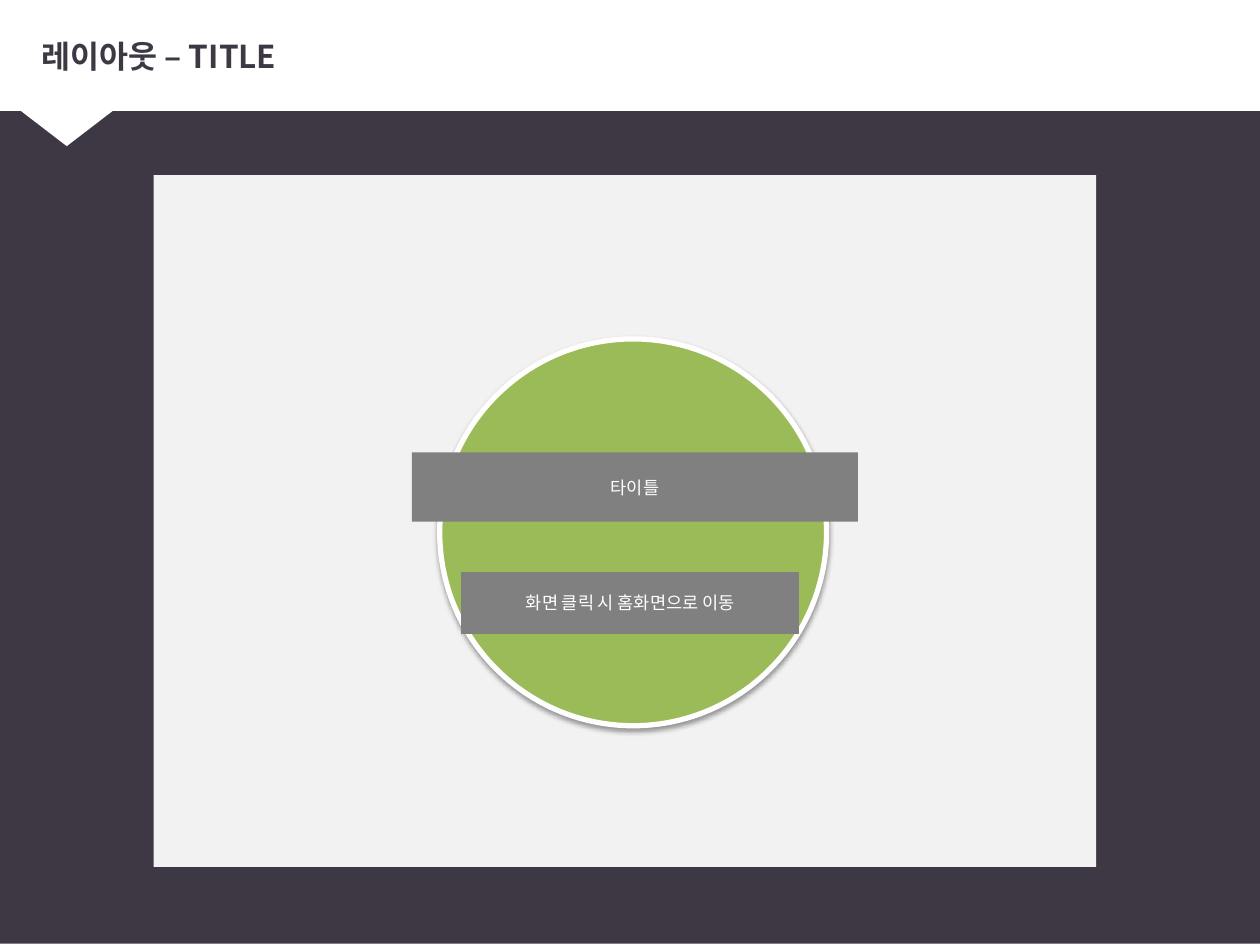
from dataclasses import dataclass

from lxml import etree
from pptx import Presentation
from pptx.dml.color import RGBColor
from pptx.enum import shapes, text
from pptx.oxml import ns
from pptx.util import Inches, Pt

FONT = "Noto Sans CJK KR"
DARK, WHITE, PANEL, GREEN, GRAY = "3D3844", "FFFFFF", "F2F2F2", "9BBB59", "808080"


@dataclass
class Block:
    left: float
    top: float
    width: float
    height: float
    fill: str
    kind: shapes.MSO_SHAPE = shapes.MSO_SHAPE.RECTANGLE
    label: str = ""
    rotation: int = 0


FRAME = [
    Block(0, -0.01, 10.14, 7.5, DARK),
    Block(-0.03, -0.02, 10.17, 0.9, WHITE),
    Block(-0.2, 0.6, 1.46, 0.56, WHITE, shapes.MSO_SHAPE.ISOSCELES_TRIANGLE, rotation=180),
]
SCREEN = Block(1.22, 1.39, 7.48, 5.49, PANEL)
CIRCLE = Block(3.49, 2.69, 3.07, 3.07, GREEN, shapes.MSO_SHAPE.OVAL)
LABELS = [
    Block(3.66, 4.54, 2.68, 0.49, GRAY, label="화면 클릭 시 홈화면으로 이동"),
    Block(3.27, 3.59, 3.54, 0.55, GRAY, label="타이틀"),
]


def color(value: str) -> RGBColor:
    return RGBColor.from_string(value)


def write(shape, content: str, size: int, font_color: str, alignment, bold: bool = False) -> None:
    frame = shape.text_frame
    frame.text = content
    frame.word_wrap = True
    frame.vertical_anchor = text.MSO_ANCHOR.MIDDLE
    paragraph = frame.paragraphs[0]
    paragraph.alignment = alignment
    for run in paragraph.runs:
        run.font.name = FONT
        run.font.size = Pt(size)
        run.font.bold = bold
        run.font.color.rgb = color(font_color)
        east_asian = etree.SubElement(run.font._element, ns.qn("a:ea"))
        east_asian.set("typeface", FONT)


def draw(slide, block: Block):
    shape = slide.shapes.add_shape(
        block.kind, Inches(block.left), Inches(block.top), Inches(block.width), Inches(block.height)
    )
    shape.rotation = block.rotation
    shape.shadow.inherit = False
    shape.fill.solid()
    shape.fill.fore_color.rgb = color(block.fill)
    shape.line.fill.background()
    if block.label:
        write(shape, block.label, 10, WHITE, text.PP_ALIGN.CENTER)
    return shape


def add_shadow(shape, blur: float, distance: float, opacity: int) -> None:
    effects = shape.element.spPr.find(ns.qn("a:effectLst"))
    shadow = etree.SubElement(
        effects, ns.qn("a:outerShdw"), blurRad=str(Pt(blur)), dist=str(Pt(distance)),
        dir="5400000", rotWithShape="0",
    )
    shade = etree.SubElement(shadow, ns.qn("a:srgbClr"), val="000000")
    etree.SubElement(shade, ns.qn("a:alpha"), val=str(opacity * 1000))


def add_title(slide) -> None:
    title = slide.shapes.title
    title.left, title.top = Inches(0.23), Inches(0.13)
    title.width, title.height = Inches(9.66), Inches(0.62)
    write(title, "레이아웃 – TITLE", 18, DARK, text.PP_ALIGN.LEFT, bold=True)
    title.text_frame.auto_size = text.MSO_AUTO_SIZE.NONE
    slide.shapes.element.append(title.element)


def main() -> None:
    presentation = Presentation()
    presentation.slide_width, presentation.slide_height = Inches(10), Inches(7.5)
    slide = presentation.slides.add_slide(presentation.slide_layouts[5])
    for block in FRAME:
        draw(slide, block)
    add_title(slide)
    draw(slide, SCREEN)
    circle = draw(slide, CIRCLE)
    circle.line.color.rgb = color(WHITE)
    circle.line.width = Pt(3)
    add_shadow(circle, blur=3.1, distance=1.6, opacity=38)
    for block in LABELS:
        draw(slide, block)
    presentation.save("out.pptx")


if __name__ == "__main__":
    main()
